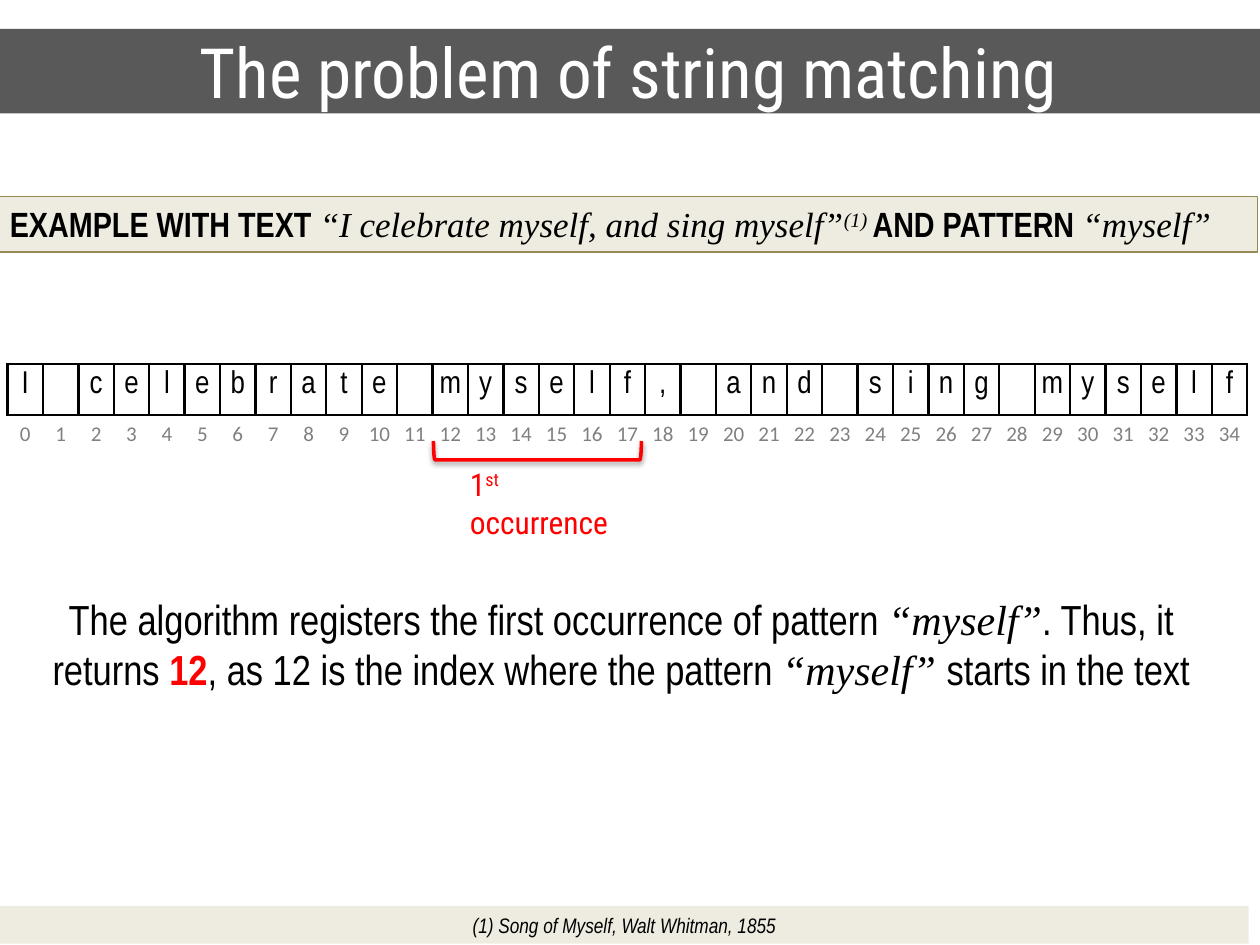
from lxml import etree
from pptx import Presentation
from pptx.dml.color import RGBColor
from pptx.enum.shapes import MSO_SHAPE
from pptx.enum.text import MSO_ANCHOR, PP_ALIGN
from pptx.oxml import parse_xml
from pptx.oxml.ns import nsdecls, qn
from pptx.util import Inches, Pt

RECTANGLE, RIGHT_BRACKET = MSO_SHAPE.RECTANGLE, MSO_SHAPE.RIGHT_BRACKET
LEFT, CENTER = PP_ALIGN.LEFT, PP_ALIGN.CENTER
TOP, MIDDLE = MSO_ANCHOR.TOP, MSO_ANCHOR.MIDDLE

NARROW, ROBOTO, TIMES = "Arial Narrow", "Roboto Condensed", "Times New Roman"
BLACK, WHITE, RED, GRAY = "000000", "FFFFFF", "FF0000", "808080"
DARK_GRAY, CREAM, OLIVE = "595959", "EEECE1", "948A54"

SONG = "I celebrate myself, and sing myself"
PATTERN = "“myself”"


def rgb(color):
    return RGBColor.from_string(color)


def write(frame, size, runs, align=CENTER, anchor=TOP):
    """Fill a text frame with runs of (text, font, colour, style).

    Style letters: b bold, i italic, s superscript.
    """
    frame.word_wrap = True
    frame.vertical_anchor = anchor
    paragraph = frame.paragraphs[0]
    paragraph.alignment = align
    for text, font, color, style in runs:
        run = paragraph.add_run()
        run.text = text
        run.font.name = font
        run.font.size = Pt(size)
        run.font.color.rgb = rgb(color)
        run.font.bold = "b" in style
        run.font.italic = "i" in style
        if "s" in style:
            run.font._element.set("baseline", "30000")


prs = Presentation()
prs.slide_width, prs.slide_height = Inches(10), Inches(7.5)
slide = prs.slides.add_slide(prs.slide_layouts[6])
shapes = slide.shapes

# Title, footnote and example bands
title = [("The problem of string matching", ROBOTO, WHITE, "")]
footnote = [("(1) Song of Myself, Walt Whitman, 1855", NARROW, BLACK, "i")]
example = [
    ("EXAMPLE WITH TEXT ", NARROW, BLACK, "b"),
    (f"“{SONG}”", TIMES, BLACK, "i"),
    ("(1) ", TIMES, BLACK, "is"),
    ("AND PATTERN ", NARROW, BLACK, "b"),
    (PATTERN, TIMES, BLACK, "i"),
]
bands = [
    (-0.02, 0.23, 10.02, 0.67, DARK_GRAY, None, 39.6, title, CENTER, MIDDLE),
    (0, 7.19, 9.91, 0.3, CREAM, None, 12, footnote, CENTER, TOP),
    (-0.02, 1.56, 10, 0.44, CREAM, OLIVE, 20, example, LEFT, TOP),
]
for left, top, width, height, fill, outline, size, runs, align, anchor in bands:
    band = shapes.add_shape(RECTANGLE, Inches(left), Inches(top), Inches(width), Inches(height))
    band.shadow.inherit = False
    band.fill.solid()
    band.fill.fore_color.rgb = rgb(fill)
    if outline:
        band.line.color.rgb = rgb(outline)
        band.line.width = Pt(0.75)
    else:
        band.line.fill.background()
    write(band.text_frame, size, runs, align, anchor)

# Characters of the text above their indices
characters = shapes.add_table(
    2, len(SONG), Inches(0.06), Inches(2.89), Inches(9.84), Inches(0.81)
).table
characters.first_row = characters.horz_banding = False
rows = [
    (SONG, 18, NARROW, BLACK, ("lnL", "lnR", "lnT", "lnB")),
    (range(len(SONG)), 12, "Calibri", GRAY, ("lnT",)),
]
for row, (values, size, font, color, ruled_sides) in enumerate(rows):
    for column, value in enumerate(values):
        cell = characters.cell(row, column)
        cell.margin_left = cell.margin_right = Inches(0.04)
        cell.margin_top = cell.margin_bottom = Inches(0.05)
        if value != " ":
            write(cell.text_frame, size, [(str(value), font, color, "")])
        cell_properties = cell._tc.get_or_add_tcPr()
        for side in ("lnL", "lnR", "lnT", "lnB"):
            border = etree.SubElement(cell_properties, qn(f"a:{side}"), w=str(Pt(1.5)))
            if side in ruled_sides:
                paint = etree.SubElement(border, qn("a:solidFill"))
                etree.SubElement(paint, qn("a:srgbClr"), val=BLACK)
            else:
                etree.SubElement(border, qn("a:noFill"))
        cell.fill.background()

# Explanation
explanation = shapes.add_textbox(Inches(0), Inches(4.66), Inches(9.86), Inches(0.91))
write(explanation.text_frame, 24, [
    ("The algorithm registers the first occurrence of pattern ", NARROW, BLACK, ""),
    (PATTERN, TIMES, BLACK, "i"),
    (". Thus, it returns ", NARROW, BLACK, ""),
    (str(SONG.find("myself")), NARROW, RED, "b"),
    (", as 12 is the index where the pattern ", NARROW, BLACK, ""),
    (PATTERN + " ", TIMES, BLACK, "i"),
    ("starts in the text", NARROW, BLACK, ""),
])

# First occurrence, marked under the indices
bracket = shapes.add_shape(RIGHT_BRACKET, Inches(4.19), Inches(2.75), Inches(0.15), Inches(1.65))
bracket.rotation = 90
bracket.fill.background()
bracket.line.color.rgb = rgb(RED)
bracket.line.width = Pt(2)
bracket._element.spPr.append(parse_xml(
    f'<a:effectLst {nsdecls("a")}>'
    f'<a:outerShdw blurRad="{Pt(3.1)}" dist="{Pt(1.6)}" dir="5400000" rotWithShape="0">'
    f'<a:srgbClr val="{BLACK}"><a:alpha val="38000"/></a:srgbClr>'
    '</a:outerShdw></a:effectLst>'
))

occurrence = shapes.add_textbox(Inches(3.63), Inches(3.64), Inches(1.32), Inches(0.4))
write(occurrence.text_frame, 18, [
    ("1", ROBOTO, RED, ""),
    ("st ", ROBOTO, RED, "s"),
    ("occurrence", ROBOTO, RED, ""),
], LEFT)

prs.save("out.pptx")
